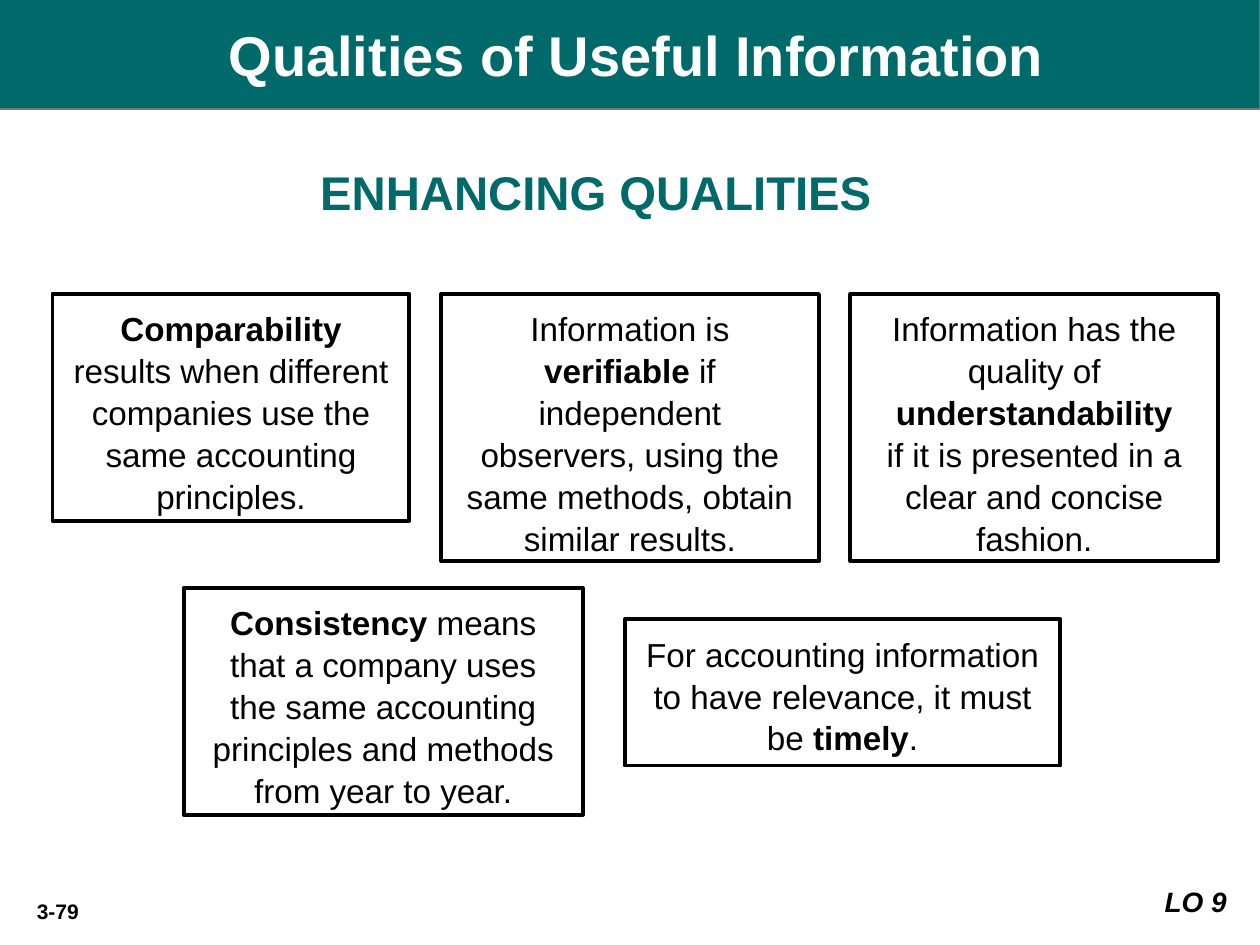
from pptx import Presentation
from pptx.dml.color import RGBColor
from pptx.enum.shapes import MSO_SHAPE
from pptx.enum.text import MSO_ANCHOR, PP_ALIGN
from pptx.util import Pt

RECTANGLE = MSO_SHAPE.RECTANGLE
TOP, MIDDLE = MSO_ANCHOR.TOP, MSO_ANCHOR.MIDDLE
CENTER, RIGHT = PP_ALIGN.CENTER, PP_ALIGN.RIGHT

TEAL = RGBColor(0x00, 0x6A, 0x6A)
GRAY = RGBColor(0x77, 0x77, 0x77)
BLACK = RGBColor(0, 0, 0)
WHITE = RGBColor(0xFF, 0xFF, 0xFF)

UPPER_ROW_TOP = 168
QUALITIES = [
    ((30, UPPER_ROW_TOP, 204, 129.6), [
        [("Comparability ", True),
         ("results when different companies use the same accounting principles.", False)],
    ]),
    ((105, 336, 228, 129.6), [
        [("Consistency", True), (" means that a company uses the same accounting", False)],
        [("principles and methods from year to year.", False)],
    ]),
    ((252, UPPER_ROW_TOP, 216, 152.6), [
        [("Information is ", False), ("verifiable", True), (" if independent", False)],
        [("observers, using the same methods, obtain similar results.", False)],
    ]),
    ((357, 354, 249, 83.5), [
        [("For accounting information to have relevance, it must be ", False),
         ("timely", True), (".", False)],
    ]),
    ((486, UPPER_ROW_TOP, 210, 152.6), [
        [("Information has the quality of ", False), ("understandability", True)],
        [("if it is presented in a clear and concise fashion.", False)],
    ]),
]


def add_panel(slide, box, fill, border=None, border_width=1):
    panel = slide.shapes.add_shape(RECTANGLE, *map(Pt, box))
    panel.shadow.inherit = False
    panel.fill.solid()
    panel.fill.fore_color.rgb = fill
    if border is None:
        panel.line.fill.background()
    else:
        panel.line.color.rgb = border
        panel.line.width = Pt(border_width)
    return panel


def write_text(holder, paragraphs, size, color=BLACK, align=CENTER, anchor=TOP,
               insets=(7.2, 3.6, 7.2, 3.6), spacing=1, italic=False):
    frame = holder.text_frame
    frame.word_wrap = True
    frame.vertical_anchor = anchor
    (frame.margin_left, frame.margin_top,
     frame.margin_right, frame.margin_bottom) = map(Pt, insets)
    for index, runs in enumerate(paragraphs):
        paragraph = frame.add_paragraph() if index else frame.paragraphs[0]
        paragraph.alignment = align
        paragraph.line_spacing = spacing
        for wording, bold in runs:
            run = paragraph.add_run()
            run.text = wording
            run.font.name = "Arial"
            run.font.size = Pt(size)
            run.font.bold = bold
            run.font.italic = italic
            run.font.color.rgb = color


def add_title_band(slide, box):
    band = add_panel(slide, box, TEAL, GRAY)
    write_text(band, [[("Qualities of Useful Information", True)]], 32, WHITE,
               anchor=MIDDLE, insets=(15, 3.6, 6.5, 3.6))


def add_heading(slide, box):
    heading = slide.shapes.add_textbox(*map(Pt, box))
    write_text(heading, [[("ENHANCING QUALITIES", True)]], 27, TEAL)


def add_quality(slide, box, paragraphs):
    card = add_panel(slide, box, WHITE, BLACK, 2.25)
    write_text(card, paragraphs, 19, insets=(10.8, 7.2, 10.8, 7.2), spacing=1.05)


def add_footer(slide, box):
    left, top, width, height = box
    page_number = slide.shapes.add_textbox(Pt(left), Pt(top + 8), Pt(54), Pt(21.6))
    write_text(page_number, [[("3-79", True)]], 12)
    objective = add_panel(slide, (left + width - 54, top, 54, height), WHITE)
    write_text(objective, [[("LO 9", True)]], 16, align=RIGHT, italic=True)


def main():
    deck = Presentation()
    deck.slide_width, deck.slide_height = Pt(720), Pt(540)
    slide = deck.slides.add_slide(deck.slide_layouts[6])
    add_heading(slide, (120, 90, 441, 41))
    for box, paragraphs in QUALITIES:
        add_quality(slide, box, paragraphs)
    add_footer(slide, (6, 502, 702, 26.6))
    add_title_band(slide, (-1.2, -0.6, 721.4, 63))
    deck.save("out.pptx")


if __name__ == "__main__":
    main()
